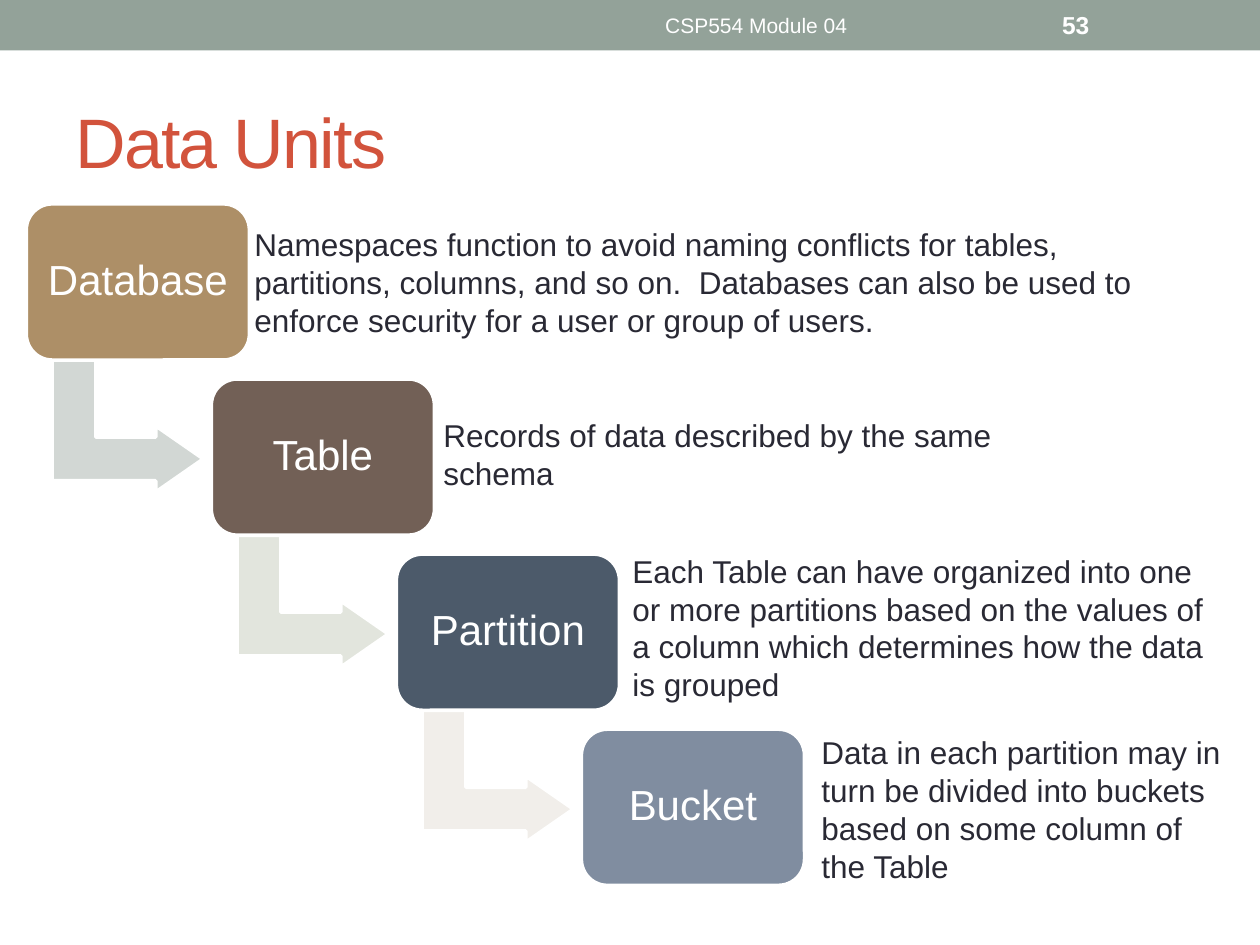
"""Build the Data Units slide: a stepped descent from database to bucket."""
import pptx
import pptx.dml.color
import pptx.enum.shapes
import pptx.enum.text
import pptx.util

Cm = pptx.util.Cm
Pt = pptx.util.Pt
SHAPES = pptx.enum.shapes.MSO_SHAPE
ALIGN = pptx.enum.text.PP_ALIGN
ANCHOR = pptx.enum.text.MSO_ANCHOR

COLOURS = {
    "banner": "93A299",
    "title": "D2533C",
    "body": "292934",
    "white": "FFFFFF",
}
STEPS = [
    ("Database", "AD8F67", "D2D7D4"),
    ("Table", "726056", "E2E5DD"),
    ("Partition", "4C5A6A", "F1EEEA"),
    ("Bucket", "808DA0", None),
]
DESCRIPTIONS = [
    ("Namespaces function to avoid naming conflicts for tables, partitions, columns, "
     "and so on.  Databases can also be used to enforce security for a user or group of users.",
     (3.61, 4.42, 20.32, 2.57), 1),
    ("Records of data described by the same schema", (8.69, 8.26, 12.7, 1.8), 0),
    ("Each Table can have organized into one or more partitions based on the values "
     "of a column which determines how the data is grouped",
     (11.23, 11, 13.34, 3.33), 1),
    ("Data in each partition may in turn be divided into buckets based on some column of the Table",
     (15.04, 14.66, 9.91, 3.33), 1),
]
STEP_X, STEP_Y = 3.73, 3.53


class SlideBuilder:
    """Hold the style and the current slide."""

    font = "Arial"

    def __init__(self, slide):
        self.slide = slide

    def colour(self, name):
        return pptx.dml.color.RGBColor.from_string(COLOURS.get(name, name))

    def fill_text(self, shape, text, size, colour, align=ALIGN.LEFT, anchor=ANCHOR.MIDDLE):
        frame = shape.text_frame
        frame.word_wrap = True
        frame.vertical_anchor = anchor
        frame.text = text
        paragraph = frame.paragraphs[0]
        paragraph.alignment = align
        font = paragraph.runs[0].font
        font.name, font.size = self.font, Pt(size)
        font.color.rgb = self.colour(colour)
        return paragraph

    def text(self, text, box, size, colour, **options):
        shape = self.slide.shapes.add_textbox(*map(Cm, box))
        return self.fill_text(shape, text, size, colour, **options)

    def shape(self, kind, box, fill, outlined=True):
        shape = self.slide.shapes.add_shape(kind, *map(Cm, box))
        shape.shadow.inherit = False
        shape.fill.solid()
        shape.fill.fore_color.rgb = self.colour(fill)
        if outlined:
            shape.line.color.rgb = self.colour("white")
            shape.line.width = Pt(2.08)
        else:
            shape.line.fill.background()
        return shape

    def arrow(self, left, top, fill):
        arrow = self.shape(SHAPES.BENT_UP_ARROW, (left, top, 2.67, 3.05), fill)
        arrow.rotation = 90
        for index, value in enumerate((0.33, 0.25, 0.36)):
            arrow.adjustments[index] = value

    def step(self, label, left, top, fill):
        shape = self.shape(SHAPES.ROUNDED_RECTANGLE, (left, top, 4.5, 3.15), fill)
        frame = shape.text_frame
        frame.margin_left = frame.margin_right = Cm(0.25)
        frame.margin_top = frame.margin_bottom = Cm(0.25)
        paragraph = self.fill_text(shape, label, 24, "white", align=ALIGN.CENTER)
        paragraph.line_spacing = 0.9

    def description(self, text, box, level):
        paragraph = self.text(text, box, 18, "body", anchor=ANCHOR.TOP)
        if level:
            paragraph.level = level
            properties = paragraph._p.get_or_add_pPr()
            properties.set("marL", str(Cm(1.27)))
            properties.set("indent", "0")


def main():
    presentation = pptx.Presentation()
    presentation.slide_width, presentation.slide_height = Cm(25.4), Cm(19.05)
    builder = SlideBuilder(presentation.slides.add_slide(presentation.slide_layouts[6]))

    builder.shape(SHAPES.RECTANGLE, (0, 0, 25.4, 1.02), "banner", outlined=False)
    title = builder.text("Data Units", (1.27, 1.47, 22.86, 2.74), 40, "title")
    title.runs[0].font._element.set("spc", "-100")
    builder.text("CSP554 Module 04", (9.53, 0.05, 11.43, 0.91), 12, "white", align=ALIGN.CENTER)
    number = builder.text("53", (21.16, 0.05, 2.97, 0.91), 14, "white")
    number.runs[0].font.bold = True

    for index, (label, fill, arrow_fill) in enumerate(STEPS):
        shift_x, shift_y = index * STEP_X, index * STEP_Y
        if arrow_fill:
            builder.arrow(1.24 + shift_x, 7.06 + shift_y, arrow_fill)
        builder.step(label, 0.53 + shift_x, 4.11 + shift_y, fill)
    for text, box, level in DESCRIPTIONS:
        builder.description(text, box, level)

    presentation.save("out.pptx")


if __name__ == "__main__":
    main()
